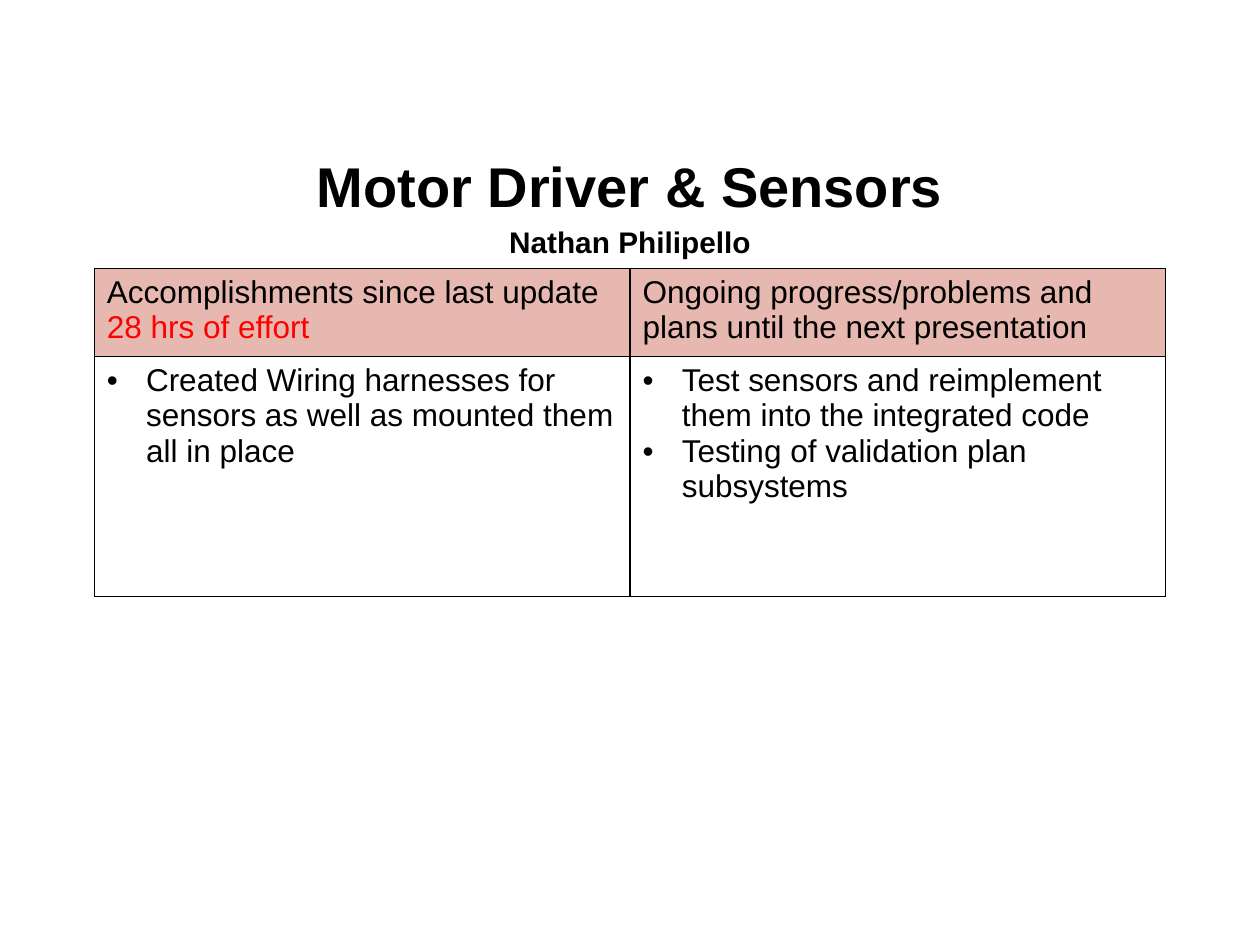
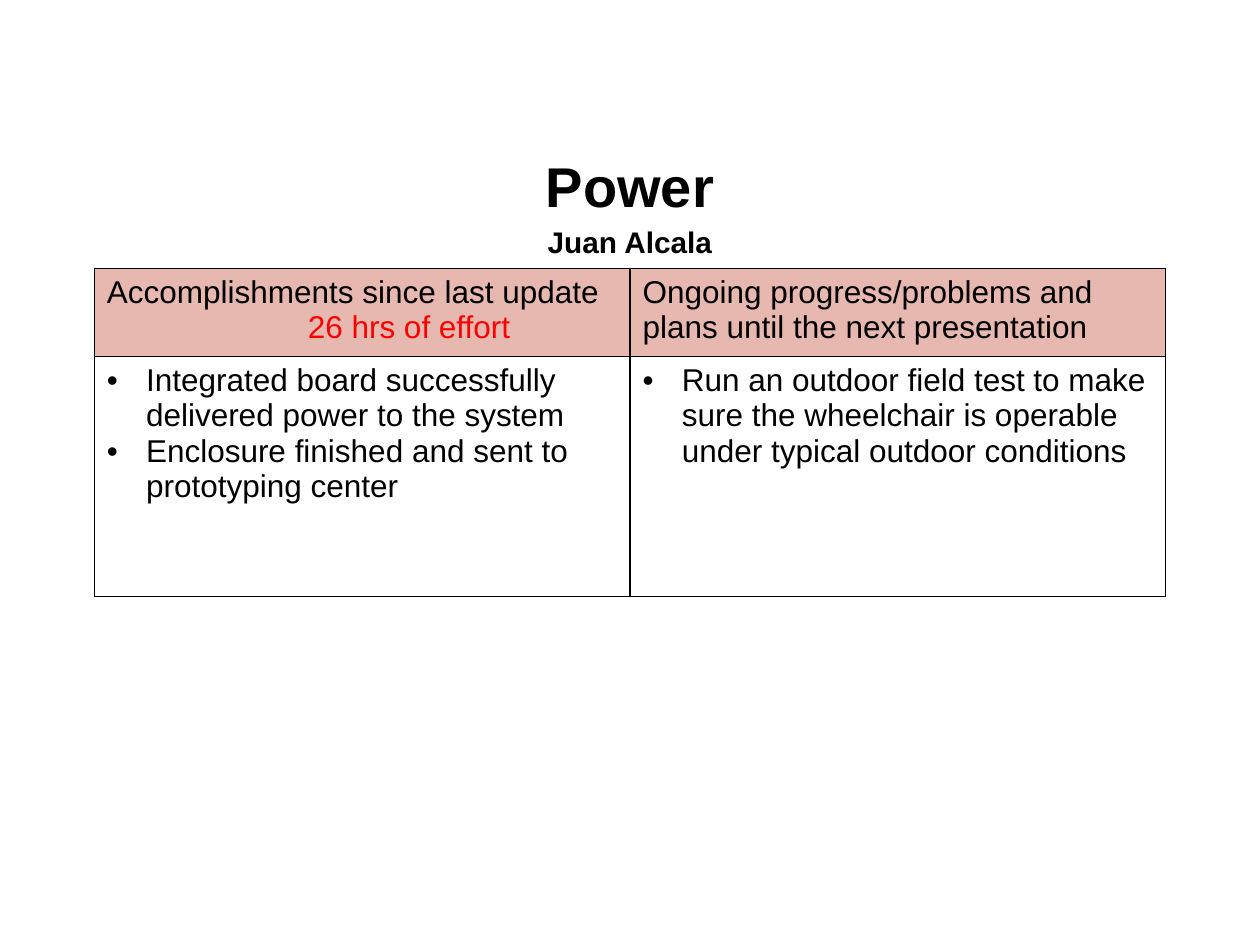
"""Builds two project status slides, each with a titled two-column table."""
from lxml import etree
from pptx import Presentation
from pptx.dml.color import RGBColor
from pptx.enum.text import MSO_ANCHOR, MSO_AUTO_SIZE, PP_ALIGN
from pptx.oxml.ns import qn
from pptx.util import Cm, Pt

MIDDLE = MSO_ANCHOR.MIDDLE
FIXED = MSO_AUTO_SIZE.NONE
CENTER = PP_ALIGN.CENTER
FONT = "Arial"
BLACK, RED, PINK = "000000", "FF0000", "E6B8AF"
DONE = "Accomplishments since last update"
NEXT = "Ongoing progress/problems and plans until the next presentation"
HANG = Cm(0.79)

SLIDES = [
    ("Motor Driver & Sensors", "Nathan Philipello", "28 hrs of effort", 0,
     ["Created Wiring harnesses for sensors as well as mounted them all in place"],
     ["Test sensors and reimplement them into the integrated code",
      "Testing of validation plan subsystems"]),
    ("Power", "Juan Alcala", "26\u00a0hrs of effort".replace("\u00a0", " "), Cm(4.05),
     ["Integrated board successfully delivered power to the system",
      "Enclosure finished and sent to prototyping center"],
     ["Run an outdoor field test to make sure the wheelchair is operable "
      "under typical outdoor conditions"]),
]


def style(para, size, color=BLACK, bold=False):
    for run in para.runs:
        run.font.name = FONT
        run.font.size = Pt(size)
        run.font.bold = bold
        run.font.color.rgb = RGBColor.from_string(color)


def border(cell):
    props = cell._tc.get_or_add_tcPr()
    for spot, side in enumerate(("lnL", "lnR", "lnT", "lnB")):
        line = etree.Element(qn("a:" + side), w=str(Pt(1)))
        fill = etree.SubElement(line, qn("a:solidFill"))
        etree.SubElement(fill, qn("a:srgbClr"), val=BLACK)
        props.insert(spot, line)


prs = Presentation()
prs.slide_width, prs.slide_height = Cm(25.4), Cm(19.05)

for topic, owner, effort, inset, done, plans in SLIDES:
    slide = prs.slides.add_slide(prs.slide_layouts[5])
    title = slide.shapes.title
    title.left, title.top = Cm(1.27), Cm(2.92)
    title.width, title.height = Cm(22.86), Cm(2.24)
    frame = title.text_frame
    frame.text = topic + "\n" + owner
    frame.auto_size = FIXED
    frame.word_wrap = True
    frame.vertical_anchor = MIDDLE
    for para, size in zip(frame.paragraphs, (32, 17)):
        para.alignment = CENTER
        para.line_spacing = 1.15
        para.space_before = Pt(0)
        style(para, size, bold=True)

    table = slide.shapes.add_table(
        2, 2, Cm(1.9), Cm(5.41), Cm(21.6), Cm(6.61)).table
    table.first_row = table.horz_banding = False
    table.rows[0].height, table.rows[1].height = Cm(1.78), Cm(4.83)
    grid = [[[DONE, effort], [NEXT]], [done, plans]]
    for row, texts in enumerate(grid):
        for col, lines in enumerate(texts):
            cell = table.cell(row, col)
            cell.text_frame.text = "\n".join(lines)
            if row == 0:
                cell.fill.solid()
                cell.fill.fore_color.rgb = RGBColor.from_string(PINK)
            else:
                cell.fill.background()
            border(cell)
            for para in cell.text_frame.paragraphs:
                if row == 1:
                    props = para._p.get_or_add_pPr()
                    props.set("marL", str(HANG))
                    props.set("indent", str(-HANG))
                    etree.SubElement(props, qn("a:buFont"), typeface=FONT)
                    etree.SubElement(props, qn("a:buChar"), char="•")
                style(para, 18)

    hours = table.cell(0, 0).text_frame.paragraphs[1]
    hours._p.get_or_add_pPr().set("marL", str(inset))
    style(hours, 18, RED)

prs.save("out.pptx")
